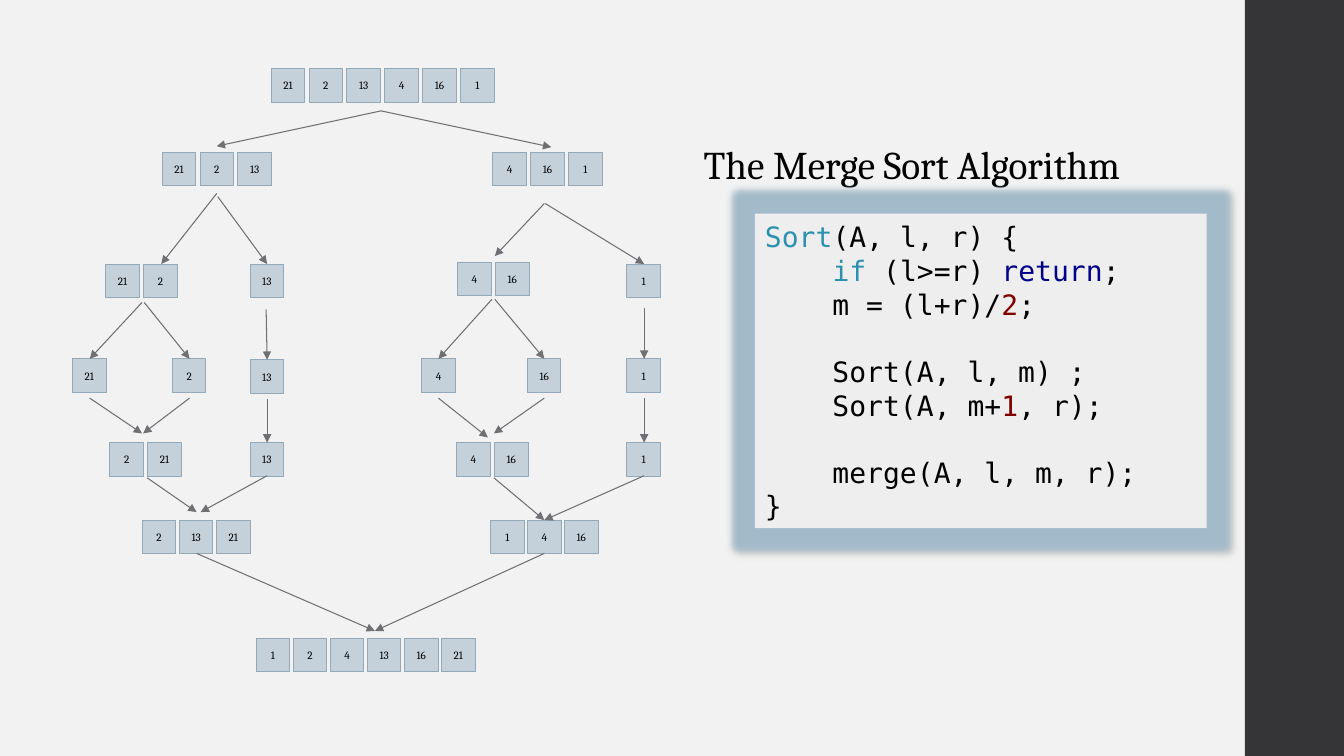
"""Build the merge sort slide: split and merge tree on the left, code on the right."""
from lxml import etree
from pptx import Presentation
from pptx.dml.color import RGBColor
from pptx.enum import shapes, text
from pptx.oxml import ns
from pptx.util import Pt

BACKGROUND = RGBColor(0xF2, 0xF2, 0xF2)
SIDEBAR = RGBColor(0x35, 0x35, 0x37)
CELL = RGBColor(0xC5, 0xD1, 0xDA)
CELL_LINE = RGBColor(0x92, 0xA9, 0xB9)
ARROW = RGBColor(0x6F, 0x6F, 0x74)
PANEL = RGBColor(0xEE, 0xEE, 0xEE)
GLOW = RGBColor(0xA2, 0xBA, 0xCA)
SHADOW = RGBColor(0xD6, 0xD3, 0xCC)
BLACK = RGBColor(0, 0, 0)
TEAL = RGBColor(0x2B, 0x91, 0xAF)
NAVY = RGBColor(0, 0, 0x8B)
MAROON = RGBColor(0x80, 0, 0)

CELL_SIZE = 24
LINE_HEIGHT = 24


def write(p, content, size, font="Cambria", color=BLACK):
    r = p.add_run()
    r.text = content
    r.font.size = Pt(size)
    r.font.name = font
    r.font.color.rgb = color


def add_box(slide, left, top, width, height, fill):
    sp = slide.shapes.add_shape(shapes.MSO_SHAPE.RECTANGLE, Pt(left), Pt(top), Pt(width), Pt(height))
    sp.shadow.inherit = False
    sp.fill.solid()
    sp.fill.fore_color.rgb = fill
    sp.line.fill.background()
    sp.text_frame.vertical_anchor = text.MSO_ANCHOR.MIDDLE
    return sp


prs = Presentation()
prs.slide_width, prs.slide_height = Pt(960), Pt(540)
s = prs.slides.add_slide(prs.slide_layouts[5])
s.background.fill.solid()
s.background.fill.fore_color.rgb = BACKGROUND
add_box(s, 889.2, 0, 70.8, 540, SIDEBAR)

arrays = [
    (193.7, 49, 27.05, [21, 2, 13, 4, 16, 1]),
    (115.9, 108.7, 27, [21, 2, 13]),
    (352.1, 108.7, 27, [4, 16, 1]),
    (75.6, 188.6, 27, [21, 2]),
    (178.6, 188.6, 27, [13]),
    (326.9, 187.2, 27, [4, 16]),
    (447.8, 188.6, 27, [1]),
    (51.8, 256.3, 27, [21]),
    (123.1, 256.3, 27, [2]),
    (178.6, 257, 27, [13]),
    (301.3, 256.3, 27, [4]),
    (376.7, 256.3, 27, [16]),
    (447.8, 256.3, 27, [1]),
    (78.5, 316.1, 27, [2, 21]),
    (178.6, 316.1, 27, [13]),
    (326.2, 316.1, 27, [4, 16]),
    (447.8, 316.1, 27, [1]),
    (101.5, 371.5, 26.6, [2, 13, 21]),
    (350.4, 371.5, 26.4, [1, 4, 16]),
    (182.9, 455.8, 26.5, [1, 2, 4, 13, 16, 21]),
]
for left, top, pitch, values in arrays:
    for i, value in enumerate(values):
        sp = add_box(s, left + i * pitch, top, CELL_SIZE, CELL_SIZE, CELL)
        sp.line.color.rgb = CELL_LINE
        sp.line.width = Pt(0.75)
        tf = sp.text_frame
        tf.margin_left = tf.margin_right = tf.margin_top = tf.margin_bottom = 0
        p = tf.paragraphs[0]
        p.alignment = text.PP_ALIGN.CENTER
        write(p, str(value), 8)

arrows = [
    (272.2, 79.2, 154.8, 104.4), (272.2, 79.2, 393.8, 105.1),
    (154.8, 138.2, 115.2, 188.6), (155.5, 140.4, 190.8, 188.6),
    (388.8, 145.4, 353.5, 182.9), (389.5, 145.4, 460.1, 188.6),
    (101.5, 216, 64.1, 256.3), (103, 216, 135.4, 256.3),
    (190.1, 221, 190.8, 257), (351.4, 213.8, 313.2, 256.3),
    (353.5, 213.8, 388.8, 256.3), (460.1, 220.3, 460.1, 256.3),
    (64.1, 284.4, 101.5, 309.6), (135.4, 284.4, 102.2, 309.6),
    (190.8, 285.1, 190.8, 316.1), (313.2, 284.4, 348.5, 312.5),
    (388.8, 284.4, 352.8, 309.6), (460.1, 284.4, 460.1, 316.1),
    (105.1, 341.3, 140.4, 365.8), (190.8, 339.8, 143.3, 365.8),
    (352.8, 341.3, 388.8, 371.5), (460.1, 339.8, 388.8, 371.5),
    (140.4, 395.3, 267.8, 450.7), (388.8, 395.3, 267.8, 450.7),
]
for ends in arrows:
    arrow = s.shapes.add_connector(shapes.MSO_CONNECTOR.STRAIGHT, *map(Pt, ends))
    arrow.line.color.rgb = ARROW
    arrow.line.width = Pt(0.75)
    props = arrow.element.spPr
    etree.SubElement(props.find(ns.qn("a:ln")), ns.qn("a:tailEnd"), type="triangle")
    etree.SubElement(props, ns.qn("a:effectLst"))

title = s.shapes.title
title.left, title.top, title.width, title.height = Pt(495.4), Pt(96.5), Pt(360), Pt(41)
tf = title.text_frame
tf.word_wrap = True
tf.auto_size = text.MSO_AUTO_SIZE.NONE
tf.vertical_anchor = text.MSO_ANCHOR.TOP
p = tf.paragraphs[0]
p.alignment = text.PP_ALIGN.LEFT
write(p, "The Merge Sort Algorithm", 28)

panel = add_box(s, 539.3, 152.6, 322.6, 224.6, PANEL)
effects = panel.element.spPr.find(ns.qn("a:effectLst"))
glow = etree.SubElement(effects, ns.qn("a:glow"), rad=str(Pt(11)))
shadow = etree.SubElement(effects, ns.qn("a:outerShdw"), dist=str(Pt(2.8)), dir="2700000")
for effect, color in ((glow, GLOW), (shadow, SHADOW)):
    etree.SubElement(effect, ns.qn("a:srgbClr"), val=str(color))

code = [
    (0, [("Sort", TEAL), ("(A, l, r) {", BLACK)]),
    (0, [("    ", BLACK), ("if", TEAL), (" (l>=r) ", BLACK), ("return", NAVY), (";", BLACK)]),
    (0, [("    m = (l+r)/", BLACK), ("2", MAROON), (";", BLACK)]),
    (1, [("    Sort(A, l, m) ;", BLACK)]),
    (0, [("    Sort(A, m+", BLACK), ("1", MAROON), (", r);", BLACK)]),
    (1, [("    merge(A, l, m, r);", BLACK)]),
    (0, [("}", BLACK)]),
]
tf = panel.text_frame
tf.word_wrap = True
tf.margin_bottom = Pt(3)
for i, (gap, runs) in enumerate(code):
    p = tf.add_paragraph() if i else tf.paragraphs[0]
    p.alignment = text.PP_ALIGN.LEFT
    p.line_spacing = Pt(LINE_HEIGHT)
    p.space_before = Pt(gap * LINE_HEIGHT)
    for content, color in runs:
        write(p, content, 20, font="DejaVu Sans Mono", color=color)

prs.save("out.pptx")
